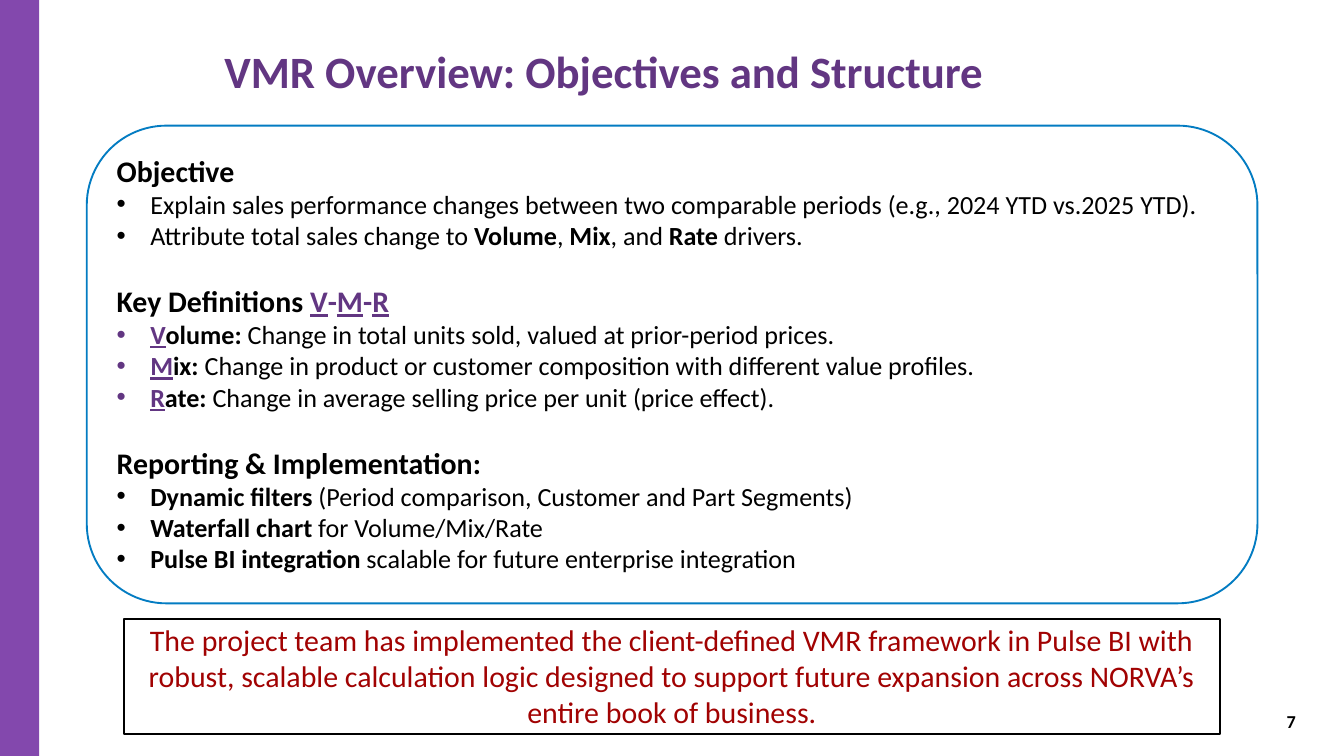
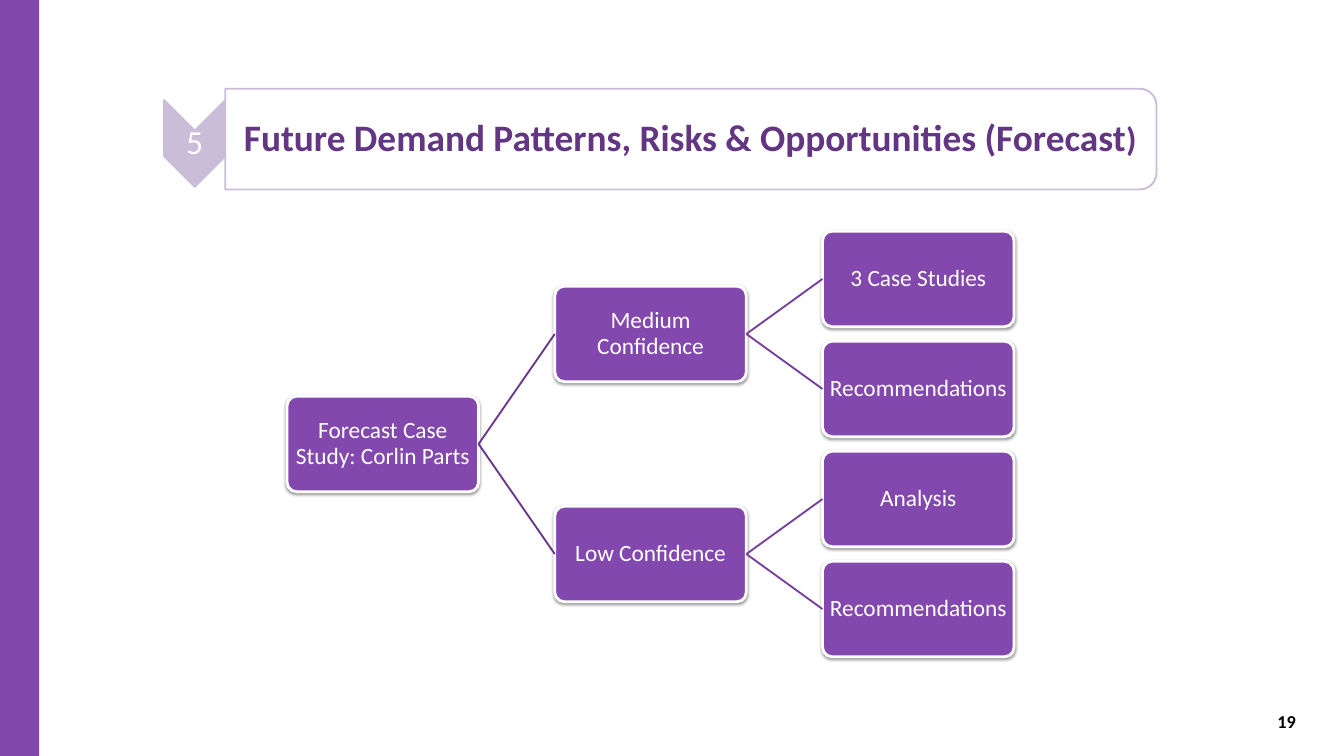
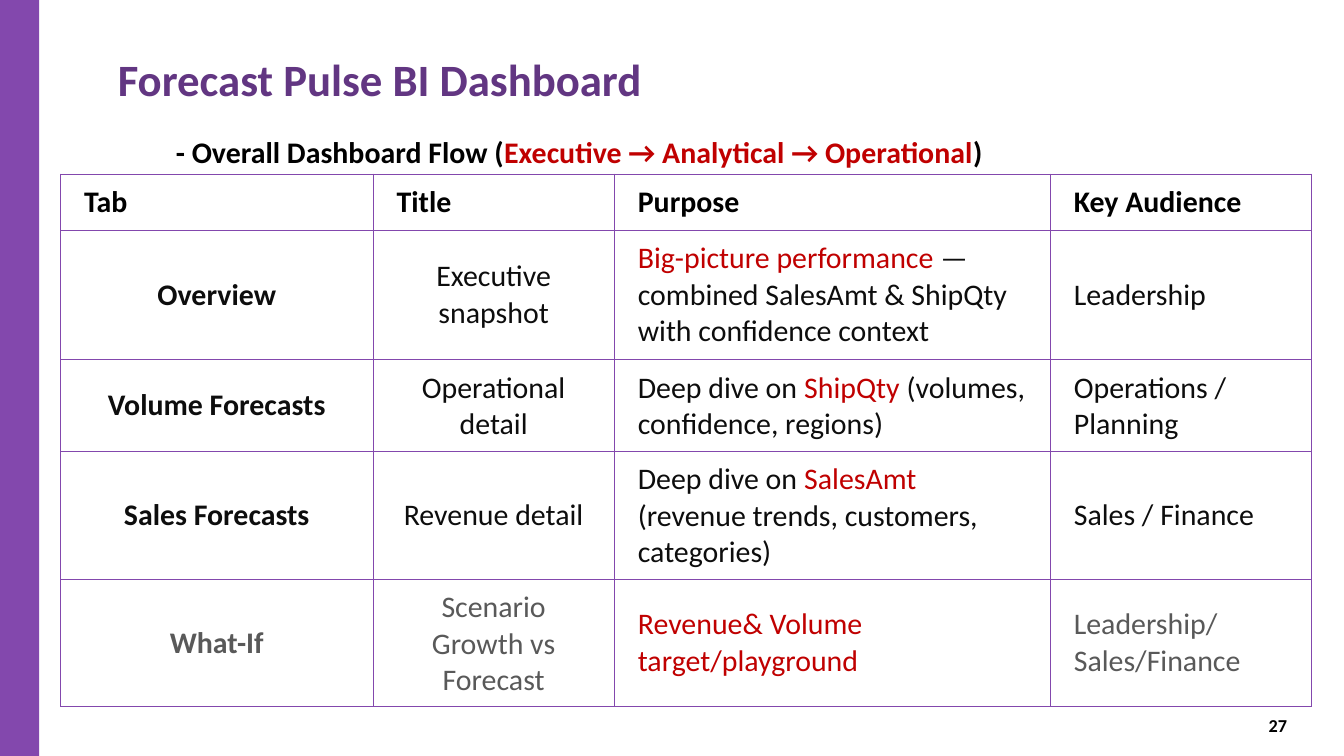
from dataclasses import dataclass

from lxml.etree import SubElement
from pptx import Presentation
from pptx.dml.color import RGBColor
from pptx.enum.shapes import MSO_CONNECTOR, MSO_SHAPE
from pptx.enum.text import MSO_ANCHOR, PP_ALIGN
from pptx.oxml.ns import qn
from pptx.util import Cm, Pt


@dataclass(frozen=True)
class Theme:
    font: str = "Calibri"
    # Colours
    band: str = "8348AD"
    title: str = "623682"
    pale: str = "CABDD8"
    frame: str = "037CC2"
    links: tuple = ("693A8B", "77419D")
    black: str = "000000"
    white: str = "FFFFFF"
    cell: str = "0D0D0D"
    grey: str = "595959"
    red: str = "C00000"
    note: str = "A10202"
    # Type sizes
    head: float = 48
    banner: float = 40
    step: float = 36
    large: float = 32
    body: float = 28
    node: float = 25
    page: float = 19.5


T = Theme()
MARKS = {"p": T.title, "r": T.red, "k": T.black}


# Text: a part is a string or (string, marks); b bold, n plain,
# u underlined, and a letter of MARKS for the colour
def write(para, parts, size, ink=T.black, bold=False, align=PP_ALIGN.LEFT):
    if isinstance(parts, str):
        parts = [parts]
    pairs = [(part, "") if isinstance(part, str) else part for part in parts]
    para.text = pairs[0][0]
    for text, _ in pairs[1:]:
        para.add_run().text = text
    para.alignment = align
    for run, (_, marks) in zip(para.runs, pairs):
        font = run.font
        font.name, font.size = T.font, Pt(size)
        font.bold = "b" in marks or (bold and "n" not in marks)
        font.underline = True if "u" in marks else None
        tint = next((MARKS[m] for m in marks if m in MARKS), ink)
        font.color.rgb = RGBColor.from_string(tint)


def bullet(para):
    props = para._p.get_or_add_pPr()
    props.set("marL", str(Cm(1.27)))
    props.set("indent", str(Cm(-1.27)))
    SubElement(props, qn("a:buFont")).set("typeface", "Arial")
    SubElement(props, qn("a:buChar")).set("char", "•")


def inset(frame, side, edge):
    frame.margin_left = frame.margin_right = Cm(side)
    frame.margin_top = frame.margin_bottom = Cm(edge)


def label(slide, place, parts, size, anchor=MSO_ANCHOR.TOP, **style):
    frame = slide.shapes.add_textbox(*map(Cm, place)).text_frame
    frame.word_wrap = True
    frame.vertical_anchor = anchor
    write(frame.paragraphs[0], parts, size, **style)
    return frame


# Shapes
def shape(slide, kind, place, fill=None, line=None, width=2):
    item = slide.shapes.add_shape(kind, *map(Cm, place))
    item.shadow.inherit = False
    if fill:
        item.fill.solid()
        item.fill.fore_color.rgb = RGBColor.from_string(fill)
    else:
        item.fill.background()
    if line:
        item.line.color.rgb = RGBColor.from_string(line)
        item.line.width = Pt(width)
    else:
        item.line.fill.background()
    item.text_frame.word_wrap = True
    return item


def shade(item):
    glow = SubElement(item._element.spPr.find(qn("a:effectLst")), qn("a:outerShdw"))
    for key, value in (("blurRad", Pt(3.1)), ("dist", Pt(1.6)), ("dir", 5400000)):
        glow.set(key, str(value))
    glow.set("rotWithShape", "0")
    tint = SubElement(glow, qn("a:srgbClr"))
    tint.set("val", T.black)
    SubElement(tint, qn("a:alpha")).set("val", "38000")


def link(slide, start, end, ink):
    line = slide.shapes.add_connector(MSO_CONNECTOR.STRAIGHT, 0, 0, 0, 0)
    line.begin_connect(start, 3)
    line.end_connect(end, 1)
    line.line.color.rgb = RGBColor.from_string(ink)
    line.line.width = Pt(2)
    SubElement(line._element.spPr, qn("a:effectLst"))


# Slide parts shared by all
def page(deck, number, place=(37.8, 26.49, 11.43, 1.52)):
    slide = deck.slides.add_slide(deck.slide_layouts[6])
    shape(slide, MSO_SHAPE.RECTANGLE, (-0.58, 0, 2.06, 28.58), T.band)
    label(slide, place, str(number), T.page, MSO_ANCHOR.MIDDLE,
          bold=True, align=PP_ALIGN.RIGHT)
    return slide


def title(slide, place, text, align=PP_ALIGN.LEFT):
    label(slide, place, text, T.head, ink=T.title, bold=True, align=align)


# Overview
TOPICS = [
    (["Objective"], [
        ["Explain sales performance changes between two comparable periods "
         "(e.g., 2024 YTD vs.2025 YTD)."],
        ["Attribute total sales change to ", ("Volume", "b"), ", ", ("Mix", "b"),
         ", and ", ("Rate", "b"), " drivers."]]),
    (["Key Definitions ", ("V", "pu"), ("-", "p"), ("M", "pu"), ("-", "p"),
      ("R", "pu")], [
        [("V", "bpu"), ("olume:", "b"),
         " Change in total units sold, valued at prior-period prices."],
        [("M", "bpu"), ("ix:", "b"),
         " Change in product or customer composition with different value profiles."],
        [("R", "bpu"), ("ate:", "b"),
         " Change in average selling price per unit (price effect)."]]),
    (["Reporting & Implementation:"], [
        [("Dynamic filters ", "b"),
         "(Period comparison, Customer and Part Segments)"],
        [("Waterfall chart ", "b"), "for Volume/Mix/Rate"],
        [("Pulse BI integration", "b"),
         " scalable for future enterprise integration"]]),
]
SUMMARY = ("The project team has implemented the client-defined VMR framework in "
           "Pulse BI with robust, scalable calculation logic designed to support "
           "future expansion across NORVA’s entire book of business.")


def overview(deck):
    slide = page(deck, 7)
    note = shape(slide, MSO_SHAPE.RECTANGLE, (4.7, 23.39, 41.4, 4.37),
                 line=T.black, width=2.25)
    note.text_frame.vertical_anchor = MSO_ANCHOR.TOP
    write(note.text_frame.paragraphs[0], SUMMARY, T.large, T.note,
          align=PP_ALIGN.CENTER)

    frame = shape(slide, MSO_SHAPE.ROUNDED_RECTANGLE, (3.28, 4.75, 44.25, 18.06),
                  T.white, T.frame).text_frame
    frame.vertical_anchor = MSO_ANCHOR.TOP
    for rank, (head, points) in enumerate(TOPICS):
        para = frame.add_paragraph() if rank else frame.paragraphs[0]
        if rank:
            para.space_before = Pt(34)
        write(para, head, T.large, bold=True)
        for point in points:
            para = frame.add_paragraph()
            bullet(para)
            write(para, point, T.body)
    title(slide, (8.23, 1.52, 38.02, 2.31), "VMR Overview: Objectives and Structure")


# Forecast tree: text, column, row, index of parent
NODES = [
    ("Forecast Case Study: Corlin Parts", 0, 1.5, None),
    ("Medium Confidence", 1, 0.5, 0),
    ("3 Case Studies", 2, 0, 1),
    ("Recommendations", 2, 1, 1),
    ("Low Confidence", 1, 2.5, 0),
    ("Analysis", 2, 2, 4),
    ("Recommendations", 2, 3, 4),
]


def node(slide, text, col, row):
    place = (10.85 + 10.12 * col, 8.74 + 4.16 * row, 7.24, 3.61)
    item = shape(slide, MSO_SHAPE.ROUNDED_RECTANGLE, place, T.band, T.white, 3)
    item.adjustments[0] = 0.1
    shade(item)
    inset(item.text_frame, 0.05, 0.05)
    para = item.text_frame.paragraphs[0]
    write(para, text, T.node, T.white, align=PP_ALIGN.CENTER)
    para.line_spacing = 0.9
    return item


def forecast(deck):
    slide = page(deck, 19)
    boxes = []
    for text, col, row, parent in NODES:
        boxes.append(node(slide, text, col, row))
        if parent is not None:
            link(slide, boxes[parent], boxes[-1], T.links[col - 1])

    # Numbered banner
    mark = shape(slide, MSO_SHAPE.CHEVRON, (5.72, 4.27, 3.28, 2.31), T.pale, T.pale)
    strip = shape(slide, MSO_SHAPE.ROUND_2_SAME_RECTANGLE,
                  (24.21, -12.34, 3.81, 35.2), T.white, T.pale)
    mark.rotation = strip.rotation = 90
    digit = label(slide, (6.2, 4.93, 2.31, 0.99), "5", T.step, MSO_ANCHOR.MIDDLE,
                  ink=T.white, align=PP_ALIGN.CENTER)
    words = label(slide, (8.51, 3.56, 38.07, 3.43),
                  "Future Demand Patterns, Risks & Opportunities (Forecast)",
                  T.banner, MSO_ANCHOR.MIDDLE, ink=T.title, bold=True)
    words.paragraphs[0].runs[0].text = words.text[:-1]
    tail = words.paragraphs[0].add_run()
    tail.text = ")"
    tail.font.name, tail.font.size, tail.font.bold = T.font, Pt(T.step), True
    tail.font.color.rgb = RGBColor.from_string(T.title)
    for frame, side in ((digit, 0.08), (words, 0.08)):
        inset(frame, side, 0.08)
        frame.paragraphs[0].line_spacing = 0.9
    words.margin_left = Cm(0.71)


# Dashboard table
WIDTHS = (11.81, 9.12, 16.48, 9.86)
HEIGHTS = (2.06, 4.9, 3.38, 4.67, 4.67)
ROWS = [
    ("Tab", "Title", "Purpose", "Key Audience"),
    ("Overview", "Executive snapshot",
     [("Big-picture performance ", "r"),
      "— combined SalesAmt & ShipQty with confidence context"], "Leadership"),
    ("Volume Forecasts", "Operational detail",
     ["Deep dive on ", ("ShipQty", "r"), " (volumes, confidence, regions)"],
     "Operations / Planning"),
    ("Sales Forecasts", "Revenue detail",
     ["Deep dive on ", ("SalesAmt", "r"), " (revenue trends, customers, categories)"],
     "Sales / Finance"),
    ("What-If", "Scenario Growth vs Forecast",
     [("Revenue& Volume target/playground", "r")], "Leadership/Sales/Finance"),
]


def border(cell):
    props = cell._tc.get_or_add_tcPr()
    for rank, side in enumerate(("a:lnL", "a:lnR", "a:lnT", "a:lnB")):
        line = SubElement(props, qn(side))
        line.set("w", str(Pt(1)))
        fill = SubElement(line, qn("a:solidFill"))
        SubElement(fill, qn("a:srgbClr")).set("val", T.band)
        props.insert(rank, line)


def grid(slide):
    place = (2.29, 6.58, sum(WIDTHS), sum(HEIGHTS))
    table = slide.shapes.add_table(len(ROWS), len(WIDTHS), *map(Cm, place)).table
    table.first_row = table.horz_banding = False
    for col, width in zip(table.columns, WIDTHS):
        col.width = Cm(width)
    for r, (row, height) in enumerate(zip(ROWS, HEIGHTS)):
        table.rows[r].height = Cm(height)
        ink = T.black if r == 0 else T.grey if r == len(ROWS) - 1 else T.cell
        for c, parts in enumerate(row):
            cell = table.cell(r, c)
            cell.fill.background()
            border(cell)
            inset(cell, 0.89, 0.38)
            cell.vertical_anchor = MSO_ANCHOR.MIDDLE
            align = PP_ALIGN.CENTER if r and c < 2 else PP_ALIGN.LEFT
            write(cell.text_frame.paragraphs[0], parts, T.large, ink,
                  bold=r == 0 or c == 0, align=align)


def dashboard(deck):
    slide = page(deck, 27, (47.5, 27.28, 1.4, 0.3))
    grid(slide)
    label(slide, (6.4, 4.93, 31.27, 3),
          ["- Overall Dashboard Flow (",
           ("Executive → Analytical → Operational", "r"), ")"], T.large, bold=True)
    title(slide, (-3.56, 1.85, 35.84, 2.31), "Forecast Pulse BI Dashboard",
          PP_ALIGN.CENTER)


def main():
    deck = Presentation()
    deck.slide_width, deck.slide_height = Cm(50.8), Cm(28.58)
    overview(deck)
    forecast(deck)
    dashboard(deck)
    deck.save("out.pptx")


if __name__ == "__main__":
    main()
